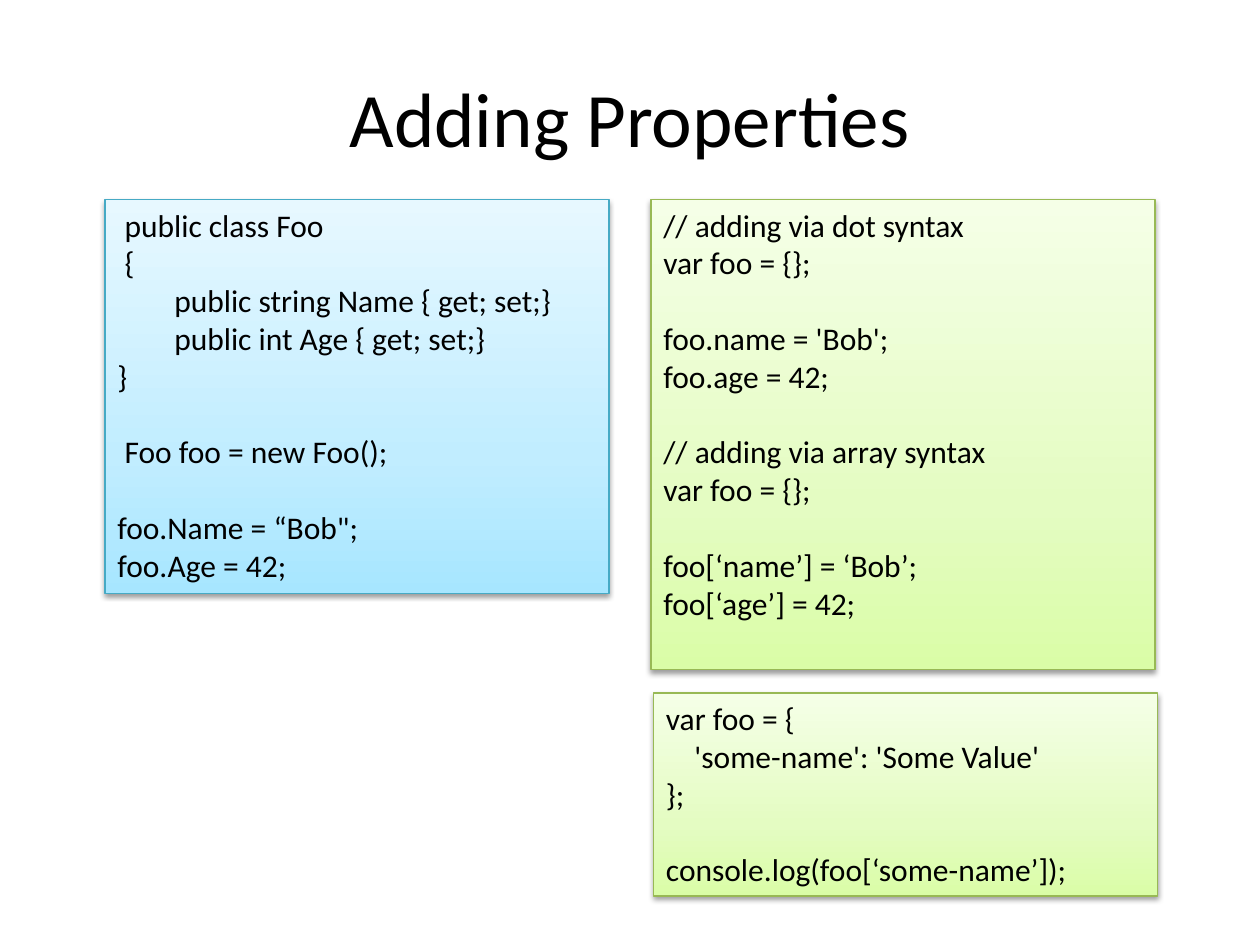
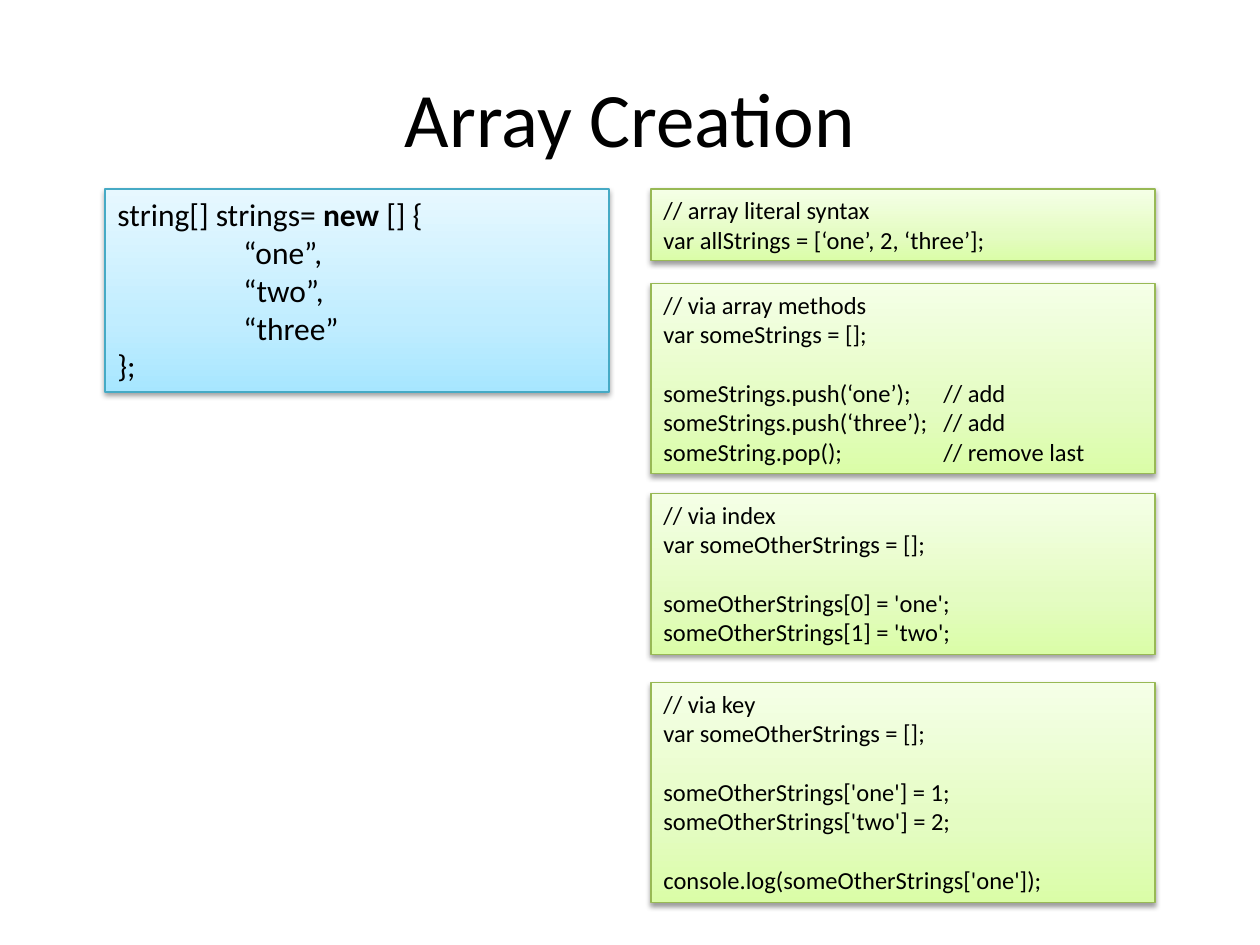
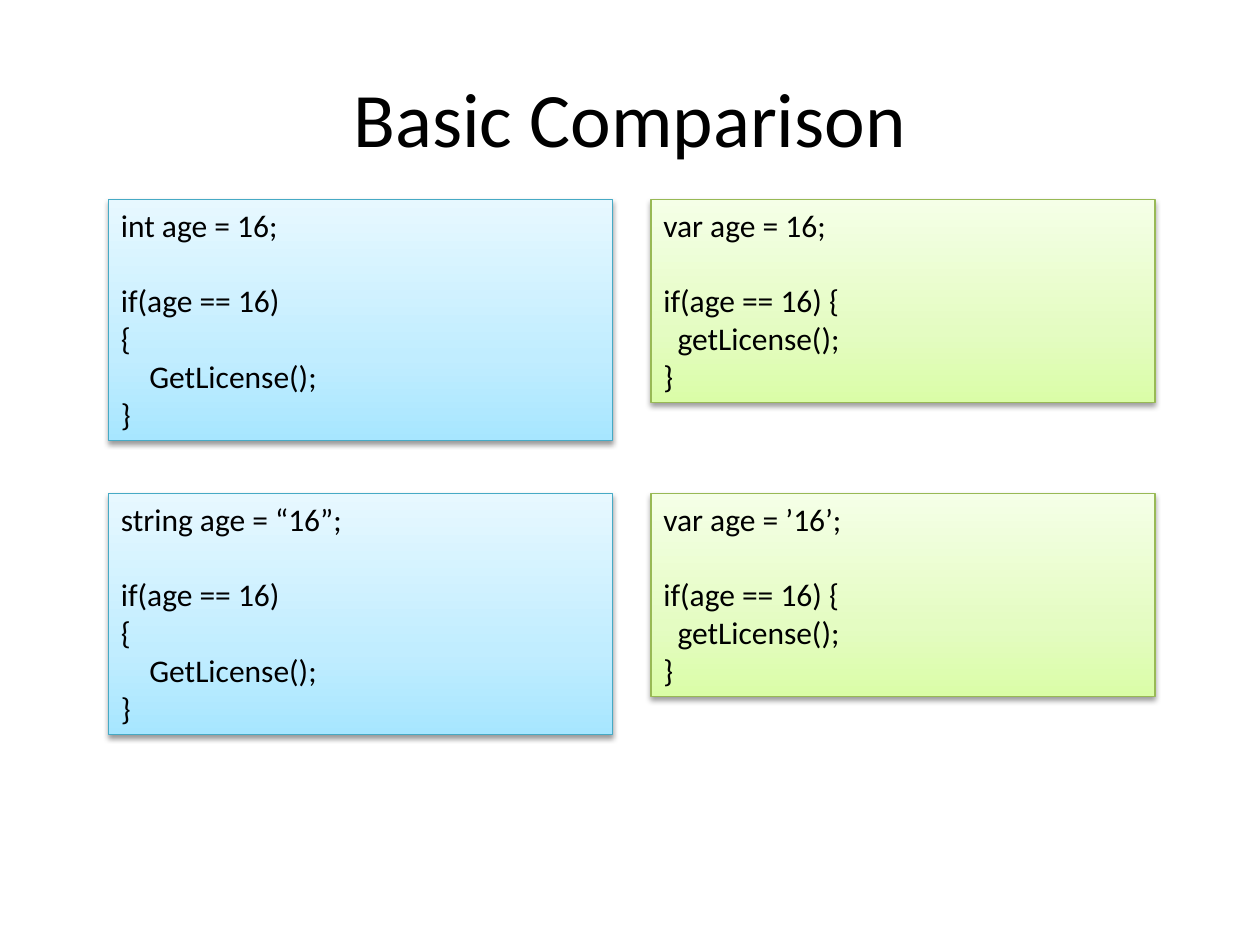
from copy import deepcopy
from dataclasses import dataclass

from lxml import etree
from pptx import Presentation
from pptx.dml.color import RGBColor
from pptx.enum.shapes import MSO_SHAPE
from pptx.enum.text import MSO_ANCHOR, PP_ALIGN
from pptx.oxml.ns import qn
from pptx.util import Pt

RECTANGLE = MSO_SHAPE.RECTANGLE
TOP, MIDDLE = MSO_ANCHOR.TOP, MSO_ANCHOR.MIDDLE
LEFT, CENTER = PP_ALIGN.LEFT, PP_ALIGN.CENTER

FONT = "Calibri"
COLORS = {
    "text": "000000",
    "shadow": "000000",
    "blue_line": "46AAC5",
    "blue_dark": "A7E6FF",
    "blue_middle": "C1EDFF",
    "blue_light": "E7F8FF",
    "green_line": "98B955",
    "green_dark": "DAFDA7",
    "green_middle": "E4FCC2",
    "green_light": "F5FFE7",
}
STOPS = {"dark": 0, "middle": 0.35, "light": 1}

BOX_WIDTH = 288
BOX_PADDING = 7.2
BOX_LINE_HEIGHT = 1.21
TEXT_LINE_HEIGHT = 1.2
SPACE_WIDTH = 0.226
TAB_WIDTH = 72
COMMENT_TAB = 160
LEFT_COLUMN = 60
RIGHT_COLUMN = 372
UPPER_ROW = 114
LOWER_ROW = 282


@dataclass(frozen=True)
class CodeBox:
    left: float
    top: float
    theme: str
    code: str
    size: float = 18
    spare_lines: int = 0


@dataclass(frozen=True)
class CodeSlide:
    title: str
    boxes: tuple[CodeBox, ...]


CSHARP_PROPERTIES = """ public class Foo
 {
        public string Name { get; set;}
        public int Age { get; set;}
}

 Foo foo = new Foo();

foo.Name = “Bob";
foo.Age = 42;"""

SCRIPT_PROPERTIES = """// adding via dot syntax
var foo = {};

foo.name = 'Bob';
foo.age = 42;

// adding via array syntax
var foo = {};

foo[‘name’] = ‘Bob’;
foo[‘age’] = 42;"""

SCRIPT_QUOTED_NAME = """var foo = {
    'some-name': 'Some Value'
};

console.log(foo[‘some-name’]);"""

CSHARP_ARRAY = """string[] strings= **new **[] {
\t“one”,
\t“two”,
\t“three”
};"""

ARRAY_LITERAL = """// array literal syntax
var allStrings = [‘one’, 2, ‘three’];"""

ARRAY_METHODS = """// via array methods
var someStrings = [];

someStrings.push(‘one’);\t// add
someStrings.push(‘three’);\t// add
someString.pop();\t// remove last"""

ARRAY_INDEX = """// via index
var someOtherStrings = [];

someOtherStrings[0] = 'one';
someOtherStrings[1] = 'two';"""

ARRAY_KEY = """// via key
var someOtherStrings = [];

someOtherStrings['one'] = 1;
someOtherStrings['two'] = 2;

console.log(someOtherStrings['one']);"""

CSHARP_TEST = """

if(age == 16)
{
    GetLicense();
}"""

SCRIPT_TEST = """

if(age == 16) {
  getLicense();
}"""

SLIDES = (
    CodeSlide("Adding Properties", (
        CodeBox(LEFT_COLUMN, UPPER_ROW, "blue", CSHARP_PROPERTIES),
        CodeBox(RIGHT_COLUMN, UPPER_ROW, "green", SCRIPT_PROPERTIES, spare_lines=1),
        CodeBox(RIGHT_COLUMN + 1.5, 396, "green", SCRIPT_QUOTED_NAME),
    )),
    CodeSlide("Array Creation", (
        CodeBox(LEFT_COLUMN, 108, "blue", CSHARP_ARRAY),
        CodeBox(RIGHT_COLUMN, 108, "green", ARRAY_LITERAL, size=14),
        CodeBox(RIGHT_COLUMN, 162, "green", ARRAY_METHODS, size=14),
        CodeBox(RIGHT_COLUMN, LOWER_ROW, "green", ARRAY_INDEX, size=14),
        CodeBox(RIGHT_COLUMN, 390, "green", ARRAY_KEY, size=14),
    )),
    CodeSlide("Basic Comparison", (
        CodeBox(LEFT_COLUMN + 2, UPPER_ROW, "blue", "int age = 16;" + CSHARP_TEST),
        CodeBox(RIGHT_COLUMN, UPPER_ROW, "green", "var age = 16;" + SCRIPT_TEST),
        CodeBox(RIGHT_COLUMN, LOWER_ROW, "green", "var age = ’16’;" + SCRIPT_TEST),
        CodeBox(LEFT_COLUMN + 2, LOWER_ROW, "blue", "string age = “16”;" + CSHARP_TEST),
    )),
)


def rgb(name: str) -> RGBColor:
    return RGBColor.from_string(COLORS[name])


def write_text(para, text: str, *, size: float, align=LEFT, indent: float = 0,
               space_before: float = 0) -> None:
    para.alignment = align
    para.space_before = Pt(space_before)
    properties = para._p.get_or_add_pPr()
    if indent:
        properties.set("marL", str(Pt(indent)))
    if "\t" in text:
        tabs = etree.SubElement(properties, qn("a:tabLst"))
        etree.SubElement(tabs, qn("a:tab"), pos=str(Pt(COMMENT_TAB)), algn="l")
    for number, part in enumerate(text.split("**")):
        span = para.add_run()
        span.text = part
        span.font.name = FONT
        span.font.size = Pt(size)
        span.font.bold = number % 2 == 1
        span.font.color.rgb = rgb("text")


def write_code(frame, code: str, size: float) -> None:
    para = frame.paragraphs[0]
    blank_lines = 0
    for number, line in enumerate(code.split("\n")):
        text = line.lstrip()
        if not text:
            blank_lines += 1
            continue
        if number:
            para = frame.add_paragraph()
        margin = line[:len(line) - len(text)]
        indent = margin.count(" ") * SPACE_WIDTH * size + margin.count("\t") * TAB_WIDTH
        write_text(para, text, size=size, indent=round(indent, 1),
                   space_before=round(blank_lines * TEXT_LINE_HEIGHT * size, 1))
        blank_lines = 0


def fill_gradient(box, theme: str) -> None:
    box.fill.gradient()
    box.fill.gradient_angle = 90
    stop_list = box._element.spPr.find(qn("a:gradFill")).find(qn("a:gsLst"))
    stop_list.append(deepcopy(stop_list[0]))
    for stop, (shade, position) in zip(box.fill.gradient_stops, STOPS.items()):
        stop.position = position
        stop.color.rgb = rgb(f"{theme}_{shade}")


def add_shadow(box) -> None:
    box.shadow.inherit = False
    effects = box._element.spPr.find(qn("a:effectLst"))
    shadow = etree.SubElement(effects, qn("a:outerShdw"), blurRad=str(Pt(3.1)),
                              dist=str(Pt(1.6)), dir="5400000", rotWithShape="0")
    color = etree.SubElement(shadow, qn("a:srgbClr"), val=COLORS["shadow"])
    etree.SubElement(color, qn("a:alpha"), val="38000")


def draw_code_box(page, item: CodeBox) -> None:
    line_count = item.code.count("\n") + 1 + item.spare_lines
    height = round(line_count * BOX_LINE_HEIGHT * item.size + BOX_PADDING, 1)
    box = page.shapes.add_shape(RECTANGLE, Pt(item.left), Pt(item.top),
                                Pt(BOX_WIDTH), Pt(height))
    fill_gradient(box, item.theme)
    box.line.color.rgb = rgb(f"{item.theme}_line")
    box.line.width = Pt(0.75)
    add_shadow(box)
    frame = box.text_frame
    frame.word_wrap = True
    frame.vertical_anchor = TOP
    write_code(frame, item.code, item.size)


def draw_title(page, text: str) -> None:
    title = page.shapes.title
    title.left, title.top, title.width, title.height = Pt(36), Pt(21.6), Pt(648), Pt(90)
    title.text_frame.vertical_anchor = MIDDLE
    write_text(title.text_frame.paragraphs[0], text, size=44, align=CENTER)


def main() -> None:
    deck = Presentation()
    deck.slide_width, deck.slide_height = Pt(720), Pt(540)
    title_only = deck.slide_layouts.get_by_name("Title Only")
    for content in SLIDES:
        page = deck.slides.add_slide(title_only)
        draw_title(page, content.title)
        for item in content.boxes:
            draw_code_box(page, item)
    deck.save("out.pptx")


if __name__ == "__main__":
    main()
